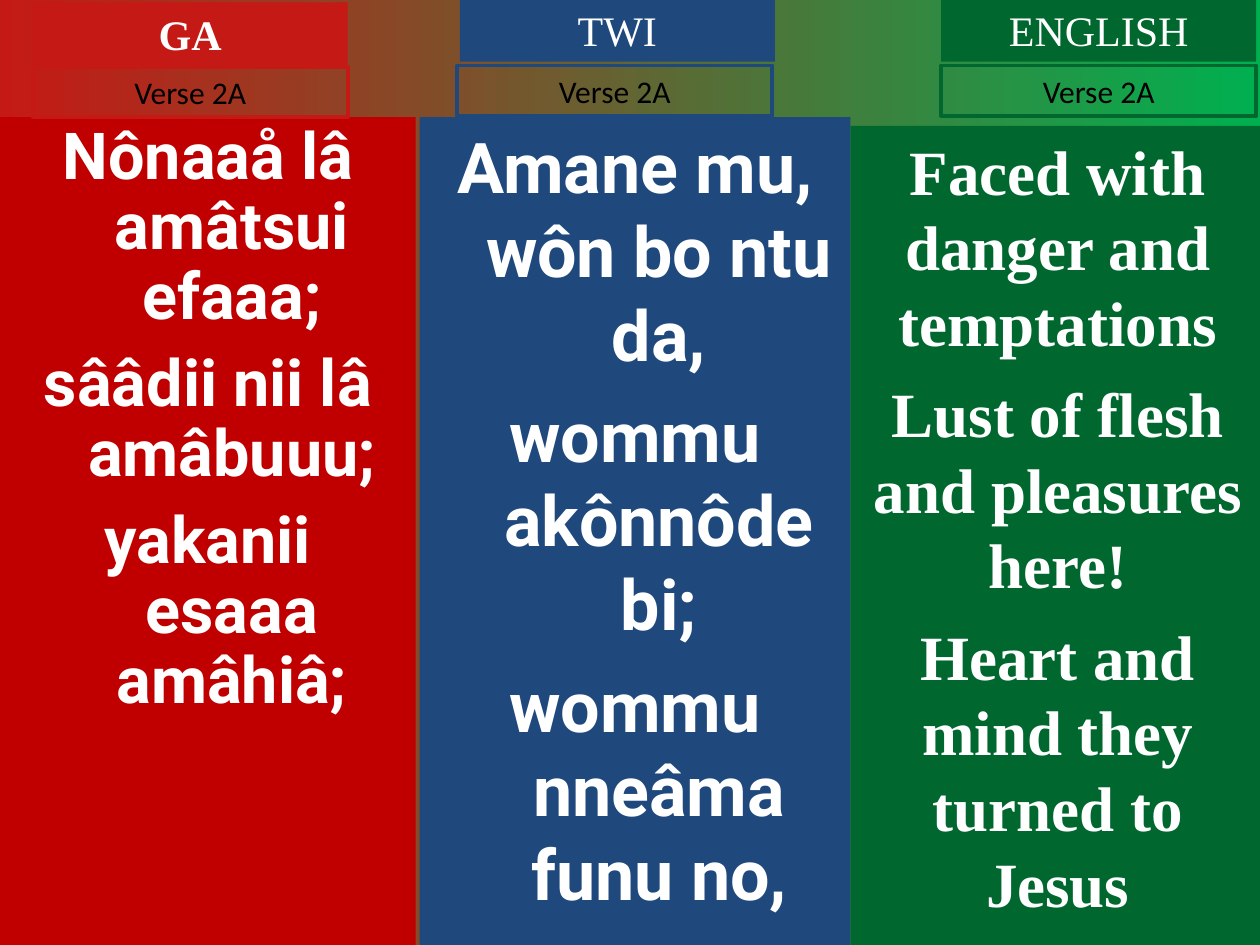
from pptx import Presentation
from pptx.dml.color import RGBColor
from pptx.enum.shapes import MSO_SHAPE
from pptx.enum.text import MSO_ANCHOR, MSO_AUTO_SIZE, PP_ALIGN
from pptx.util import Inches, Pt

RECT = MSO_SHAPE.RECTANGLE
TOP = MSO_ANCHOR.TOP
GROW, FIXED = MSO_AUTO_SIZE.SHAPE_TO_FIT_TEXT, MSO_AUTO_SIZE.NONE
CENTER = PP_ALIGN.CENTER

COLORS = {
    "red": "C51915",
    "deep red": "C00000",
    "blue": "1F497D",
    "green": "00682F",
    "bright green": "00B050",
    "white": "FFFFFF",
    "black": "000000",
}
TAB_WIDTH = 2.5
HANGING = 0.38

VERSE_FONT = {"name": "Calibri", "size": Pt(18), "bold": False}
TITLE_FONT = {"name": "Times New Roman", "size": Pt(24), "bold": False}
ROBOTO = {"name": "Roboto", "bold": True}
TIMES = {"name": "Times New Roman", "bold": True}

# box: left, top, width, height; title and verse: left, top
LANGUAGES = [
    {
        "title": "GA", "accent": "red", "fill": "deep red",
        "box": (0, 0.93, 3.3, 6.57), "title_at": (0.26, 0.02), "verse_at": (0.26, 0.53),
        "title_font": {**TITLE_FONT, "bold": True},
        "lyric_font": {**ROBOTO, "size": Pt(37)},
        "line_spacing": 0.9, "gap": 10, "hanging": HANGING,
        "lyrics": ["Nônaaå lâ amâtsui efaaa;", "sââdii nii lâ amâbuuu;",
                   "yakanii esaaa amâhiâ;"],
    },
    {
        "title": "TWI", "accent": "blue", "fill": "blue",
        "box": (3.33, 0.93, 3.42, 6.57), "title_at": (3.65, -0.01), "verse_at": (3.63, 0.52),
        "title_font": TITLE_FONT,
        "lyric_font": {**ROBOTO, "size": Pt(40)},
        "line_spacing": 1.0, "gap": 10, "hanging": HANGING,
        "lyrics": ["Amane mu, wôn bo ntu da,", "wommu akônnôde bi;",
                   "wommu nneâma funu no,"],
    },
    {
        "title": "ENGLISH", "accent": "green", "fill": "green",
        "box": (6.75, 1, 3.29, 6.5), "title_at": (7.47, -0.01), "verse_at": (7.47, 0.52),
        "title_font": TITLE_FONT,
        "lyric_font": {**TIMES, "size": Pt(36)},
        "line_spacing": 1.0, "gap": 9, "hanging": 0,
        "lyrics": ["Faced with danger and temptations",
                   "Lust of flesh and pleasures here!",
                   "Heart and mind they turned to Jesus"],
    },
]


def rgb(color):
    return RGBColor.from_string(COLORS[color])


def add_panel(slide, box, lines, font, color, fill=None, outline=None, auto_size=GROW):
    """Add a rectangle of centred lines and return its paragraphs."""
    panel = slide.shapes.add_shape(RECT, *map(Inches, box))
    panel.shadow.inherit = False
    if fill:
        panel.fill.solid()
        panel.fill.fore_color.rgb = rgb(fill)
    else:
        panel.fill.background()
    if outline:
        panel.line.color.rgb = rgb(outline)
        panel.line.width = Pt(2.25)
    else:
        panel.line.fill.background()

    frame = panel.text_frame
    frame.word_wrap = True
    frame.auto_size = auto_size
    frame.vertical_anchor = TOP
    for index, line in enumerate(lines):
        paragraph = frame.paragraphs[0] if index == 0 else frame.add_paragraph()
        paragraph.alignment = CENTER
        run = paragraph.add_run()
        run.text = line
        for attribute, value in font.items():
            setattr(run.font, attribute, value)
        run.font.color.rgb = rgb(color)
    return frame.paragraphs


def add_lyrics(slide, language):
    paragraphs = add_panel(slide, language["box"], language["lyrics"],
                           language["lyric_font"], "white",
                           fill=language["fill"], auto_size=FIXED)
    for index, paragraph in enumerate(paragraphs):
        paragraph.line_spacing = language["line_spacing"]
        if index:
            paragraph.space_before = Pt(language["gap"])
        if language["hanging"]:
            properties = paragraph._p.get_or_add_pPr()
            properties.set("marL", str(Inches(language["hanging"])))
            properties.set("indent", str(-Inches(language["hanging"])))


def add_heading(slide, language):
    """Add the language name with the verse label below it."""
    add_panel(slide, (*language["title_at"], TAB_WIDTH, 0.5), [language["title"]],
              language["title_font"], "white", fill=language["accent"])
    add_panel(slide, (*language["verse_at"], TAB_WIDTH, 0.4), ["Verse 2A"],
              VERSE_FONT, "black", outline=language["accent"])


def paint_background(slide):
    fill = slide.background.fill
    fill.gradient()
    fill.gradient_angle = 0
    for stop, color, position in zip(fill.gradient_stops, ("red", "bright green"), (0, 1)):
        stop.color.rgb = rgb(color)
        stop.position = position


def main():
    presentation = Presentation()
    presentation.slide_width = Inches(10)
    presentation.slide_height = Inches(7.5)
    slide = presentation.slides.add_slide(presentation.slide_layouts[6])
    paint_background(slide)
    for language in LANGUAGES:
        add_lyrics(slide, language)
        add_heading(slide, language)
    presentation.save("out.pptx")


if __name__ == "__main__":
    main()
